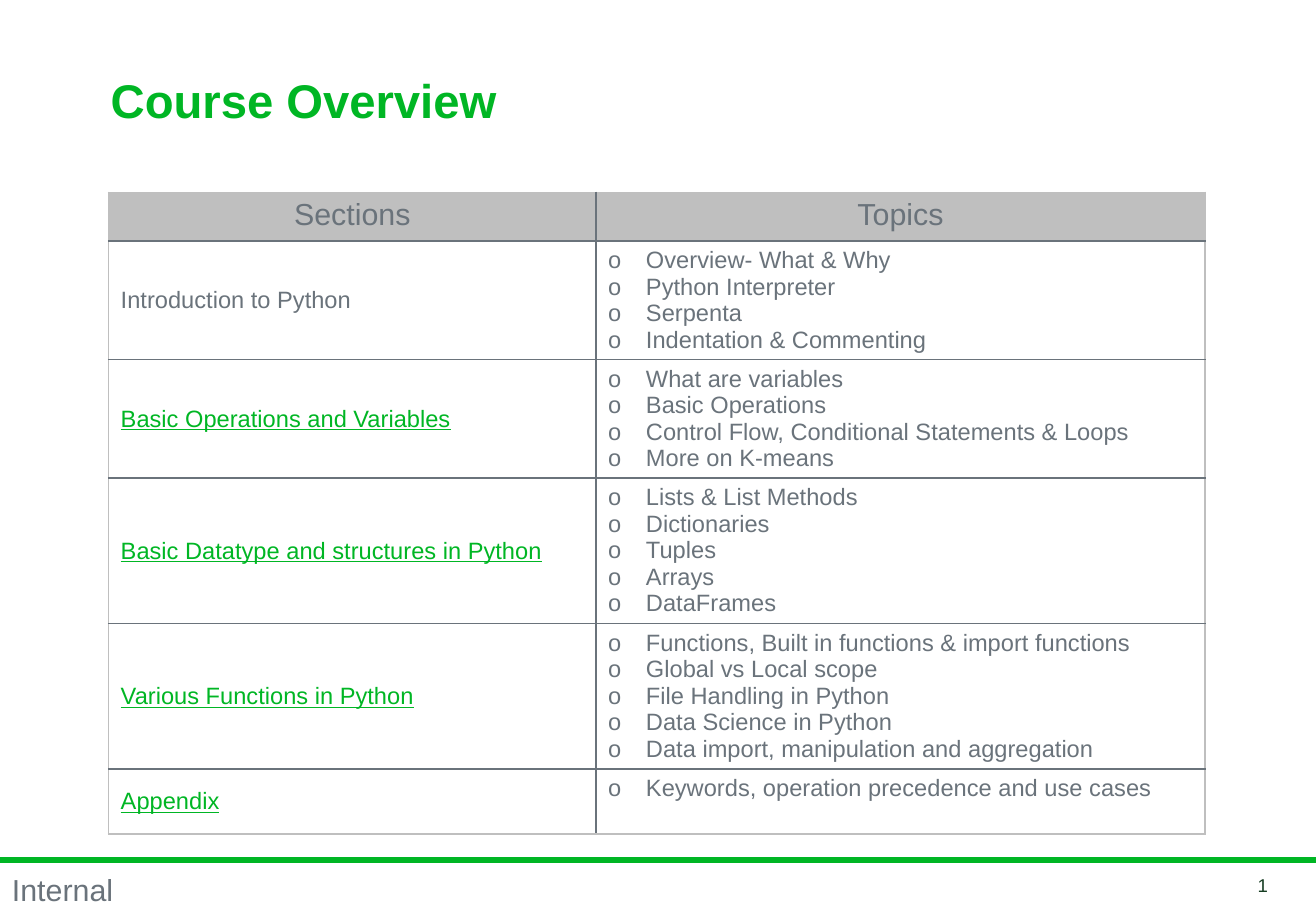
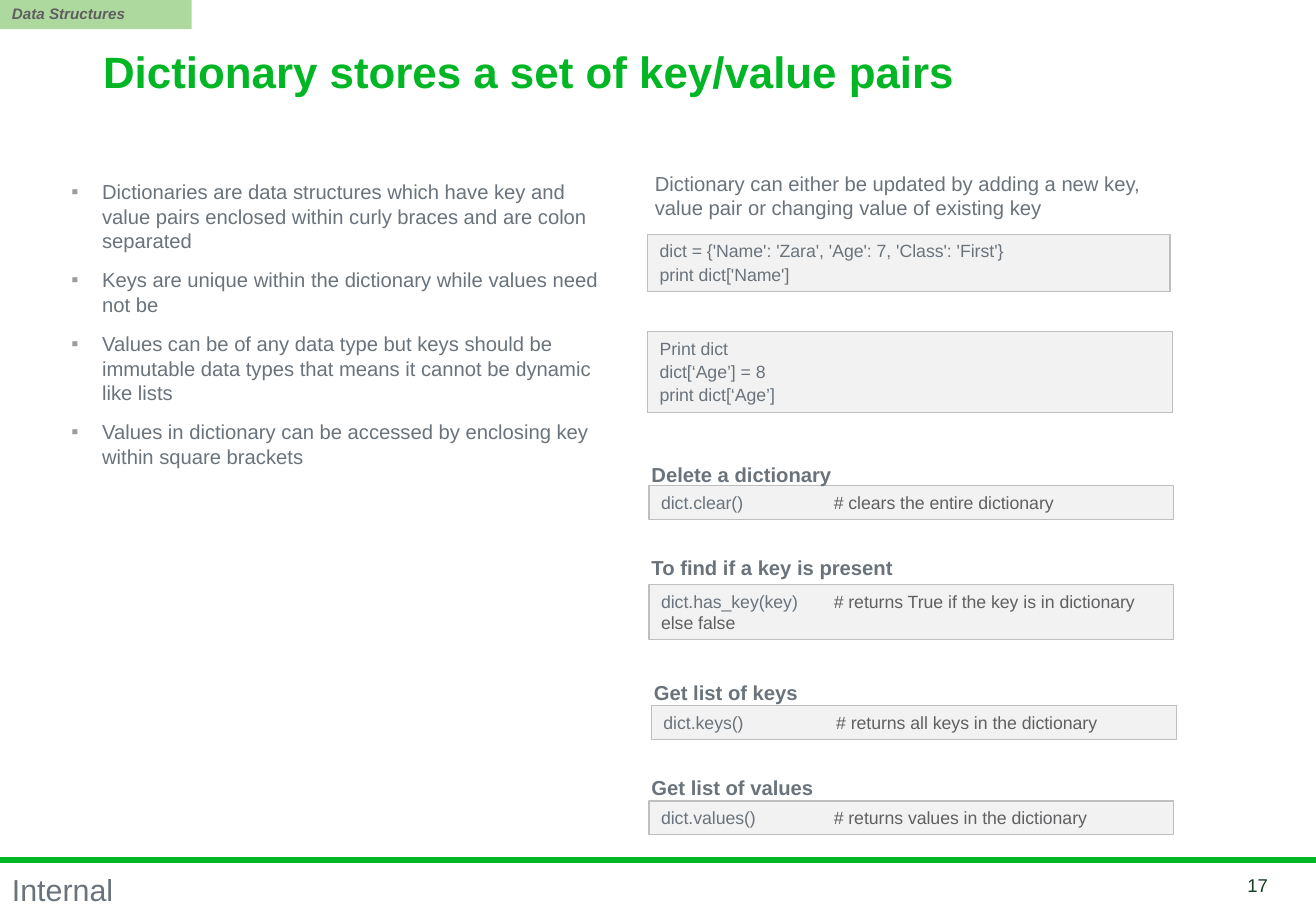
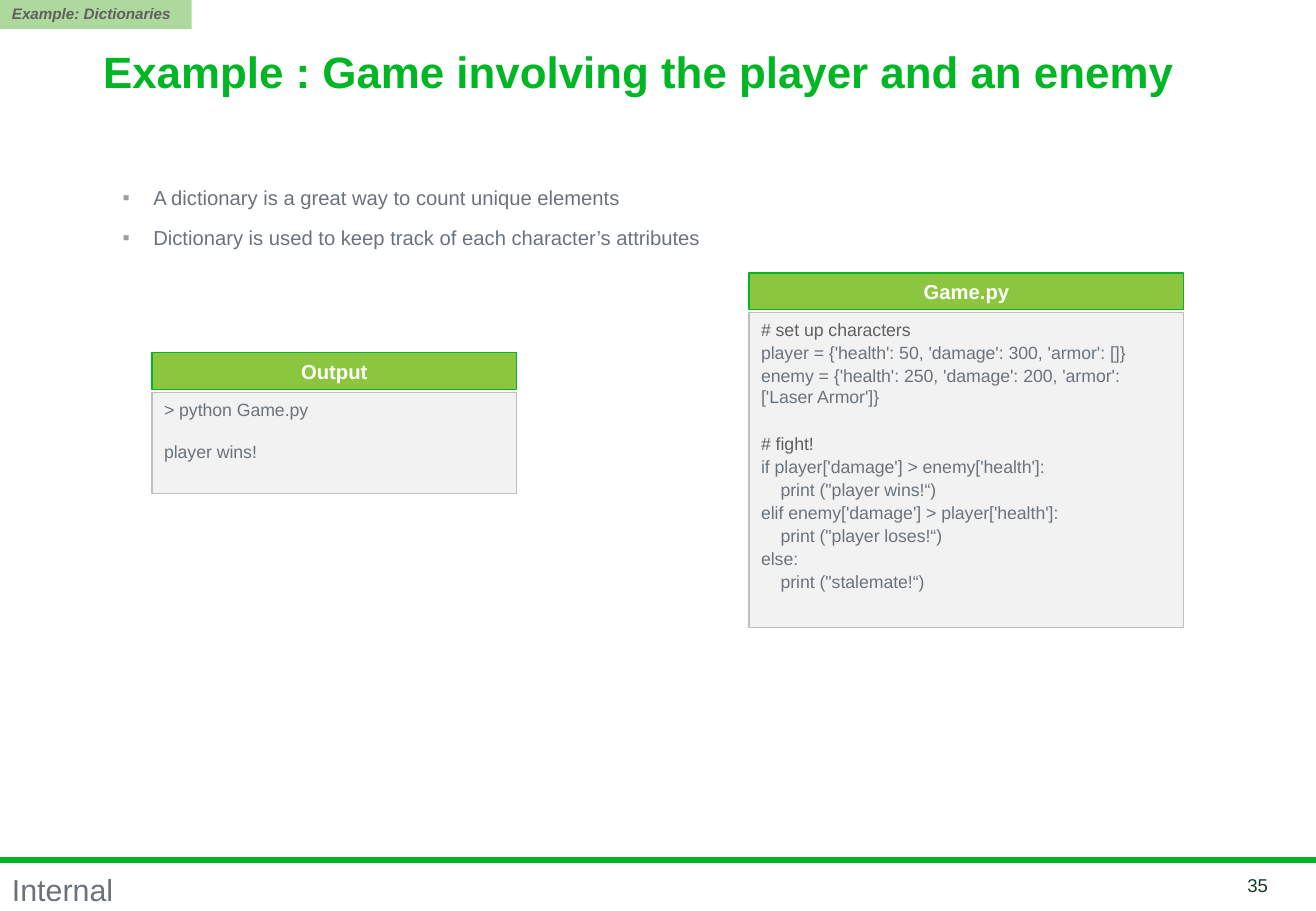
from dataclasses import dataclass
from typing import Optional, Sequence

from lxml import etree
from pptx import Presentation
from pptx.dml.color import RGBColor
from pptx.enum.shapes import MSO_CONNECTOR, MSO_SHAPE
from pptx.enum.text import MSO_ANCHOR, MSO_AUTO_SIZE, PP_ALIGN
from pptx.oxml.ns import qn
from pptx.util import Cm, Pt

LEFT, MID, RIGHT = PP_ALIGN.LEFT, PP_ALIGN.CENTER, PP_ALIGN.RIGHT
TOP, CENTER = MSO_ANCHOR.TOP, MSO_ANCHOR.MIDDLE
RECT, LINE = MSO_SHAPE.RECTANGLE, MSO_CONNECTOR.STRAIGHT
FIXED = MSO_AUTO_SIZE.NONE

# Shared look
FACE = "Arial"
GREEN, LIME, MINT = "00B624", "8CC63F", "AED99E"
GREY, NOTE, DARK = "6A737B", "606062", "163D22"
PALE, SILVER = "F2F2F2", "BFBFBF"
WIDE, HIGH = 27.51, 19.05
TAB = 3.61


@dataclass(frozen=True)
class Font:
    size: float
    color: str = GREY
    bold: bool = False
    ital: bool = False
    under: bool = False


@dataclass(frozen=True)
class Box:
    left: float
    top: float
    width: float
    height: float

    def cm(self) -> tuple[Cm, Cm, Cm, Cm]:
        return Cm(self.left), Cm(self.top), Cm(self.width), Cm(self.height)


@dataclass(frozen=True)
class Mark:
    char: str
    color: str
    indent: float


@dataclass(frozen=True)
class Line:
    text: str = ""
    note: str = ""
    gap: Optional[float] = None


@dataclass(frozen=True)
class Code:
    box: Box
    lines: Sequence[Line]
    head: str = ""
    rise: float = 0.66


@dataclass(frozen=True)
class Part:
    name: str
    topics: Sequence[str]
    link: bool = True


BODY, SMALL, CELL = Font(12), Font(10.5), Font(14)
HEAD, LABEL = Font(12, bold=True), Font(12, "FFFFFF", bold=True)
SQUARE, ROUND = Mark("▪", "9D9DA1", 0.64), Mark("o", GREY, 0.79)


def rgb(color: str) -> RGBColor:
    return RGBColor.from_string(color)


def add(parent, tag: str, **attrs: str):
    return etree.SubElement(parent, qn(tag), attrs)


# Text
def put(frame, lines: Sequence[Line], font: Font, gap: float = 0,
        align=LEFT, mark: Optional[Mark] = None, pitch: float = 1) -> None:
    for i, line in enumerate(lines):
        para = frame.paragraphs[0] if i == 0 else frame.add_paragraph()
        para.alignment = align
        para.line_spacing = pitch
        space = gap if line.gap is None else line.gap
        para.space_before = Pt(space if i else 0)
        parts = [p for p in ((line.text, font.color), (line.note, NOTE)) if p[0]]
        props = para._p.get_or_add_pPr()
        if mark:
            indent = Cm(mark.indent)
            props.set("marL", str(indent))
            props.set("indent", str(-indent))
            add(add(props, "a:buClr"), "a:srgbClr", val=mark.color)
            add(props, "a:buFont", typeface=FACE)
            add(props, "a:buChar", char=mark.char)
        if len(parts) > 1:
            add(add(props, "a:tabLst"), "a:tab", pos=str(Cm(TAB)), algn="l")
        face = para.font
        face.name, face.size = FACE, Pt(font.size)
        face.bold, face.italic, face.underline = font.bold, font.ital, font.under
        if len(parts) == 1:
            face.color.rgb = rgb(parts[0][1])
        for j, (words, color) in enumerate(parts):
            run = para.add_run()
            run.text = "\t" + words if j else words
            if len(parts) > 1:
                run.font.color.rgb = rgb(color)


def setup(frame, anchor=TOP, wrap: bool = True) -> None:
    frame.auto_size = FIXED
    frame.word_wrap = wrap
    frame.vertical_anchor = anchor


def label(slide, box: Box, text: str, font: Font, align=LEFT, anchor=TOP,
          wrap: bool = True, pitch: float = 1) -> None:
    frame = slide.shapes.add_textbox(*box.cm()).text_frame
    setup(frame, anchor, wrap)
    put(frame, [Line(text)], font, align=align, pitch=pitch)


def panel(slide, box: Box, lines: Sequence[Line], font: Font, fill: str,
          edge: Optional[str], gap: float = 0, align=LEFT) -> None:
    shape = slide.shapes.add_shape(RECT, *box.cm())
    shape.shadow.inherit = False
    shape.fill.solid()
    shape.fill.fore_color.rgb = rgb(fill)
    if edge:
        shape.line.color.rgb = rgb(edge)
        shape.line.width = Pt(0.75)
    else:
        shape.line.fill.background()
    setup(shape.text_frame)
    put(shape.text_frame, lines, font, gap, align)


def holder(shape, box: Box, anchor=TOP):
    shape.left, shape.top, shape.width, shape.height = box.cm()
    setup(shape.text_frame, anchor)
    return shape.text_frame


# Frame of every slide
def start(deck, layout: int, title: str, box: Box, size: float, page: int):
    slide = deck.slides.add_slide(deck.slide_layouts[layout])
    frame = holder(slide.shapes.title, box, CENTER)
    put(frame, [Line(title)], Font(size, GREEN, bold=True), pitch=0.85)
    rule = slide.shapes.add_connector(LINE, 0, Cm(17.98), Cm(WIDE), Cm(17.98))
    rule.line.color.rgb = rgb(GREEN)
    rule.line.width = Pt(3.5)
    add(rule._element.spPr, "a:effectLst")
    label(slide, Box(0, 18.14, 2.64, 0.99), "Internal", Font(18),
          wrap=False, pitch=0.95)
    label(slide, Box(24.68, 18.26, 2.08, 0.51), str(page), Font(11, DARK),
          align=RIGHT, anchor=CENTER)
    return slide


def topic(deck, tag: str, title: str, page: int, points: Sequence[str],
          box: Box):
    slide = start(deck, 1, title, Box(1.9, 0.84, 23.06, 1.47), 26, page)
    put(holder(slide.placeholders[1], box), [Line(p) for p in points],
        BODY, 9, mark=SQUARE)
    panel(slide, Box(0, -0.03, 4.01, 0.64), [Line(tag)],
          Font(9, "5F5F5F", bold=True, ital=True), MINT, None)
    return slide


# Course table
PARTS = [
    Part("Introduction to Python",
         ["Overview- What & Why", "Python Interpreter", "Serpenta",
          "Indentation & Commenting"], link=False),
    Part("Basic Operations and Variables",
         ["What are variables", "Basic Operations",
          "Control Flow, Conditional Statements & Loops", "More on K-means"]),
    Part("Basic Datatype and structures in Python",
         ["Lists & List Methods", "Dictionaries", "Tuples", "Arrays",
          "DataFrames"]),
    Part("Various Functions in Python",
         ["Functions, Built in functions & import functions",
          "Global vs Local scope", "File Handling in Python",
          "Data Science in Python",
          "Data import, manipulation and aggregation"]),
    Part("Appendix", ["Keywords, operation precedence and use cases"]),
]


def border(cell, outer: Sequence[bool]) -> None:
    props = cell._tc.get_or_add_tcPr()
    for i, (side, out) in enumerate(zip("LRTB", outer)):
        edge = add(props, f"a:ln{side}", w=str(Pt(1)))
        fill = add(edge, "a:solidFill")
        add(fill, "a:srgbClr", val=SILVER if out else GREY)
        props.insert(i, edge)


def overview(deck) -> None:
    slide = start(deck, 5, "Course Overview", Box(2.06, 1.05, 20.4, 2.24), 28, 1)
    tall = [1.02] + [max(1.36, 0.24 + 0.56 * len(p.topics)) for p in PARTS]
    box = Box(2.27, 4.02, 22.92, sum(tall))
    table = slide.shapes.add_table(len(tall), 2, *box.cm()).table
    table.first_row = table.horz_banding = False
    for col, width in zip(table.columns, (10.19, 12.73)):
        col.width = Cm(width)
    for row, height in zip(table.rows, tall):
        row.height = Cm(height)
    for c, name in enumerate(("Sections", "Topics")):
        put(table.cell(0, c).text_frame, [Line(name)], Font(18), align=MID)
    for r, part in enumerate(PARTS, 1):
        name = table.cell(r, 0)
        name.vertical_anchor = CENTER
        font = Font(14, GREEN, under=True) if part.link else CELL
        put(name.text_frame, [Line(part.name)], font)
        put(table.cell(r, 1).text_frame, [Line(t) for t in part.topics],
            CELL, mark=ROUND)
    for r in range(len(tall)):
        for c in range(2):
            cell = table.cell(r, c)
            if r == 0:
                cell.fill.solid()
                cell.fill.fore_color.rgb = rgb(SILVER)
            else:
                cell.fill.background()
            border(cell, (c == 0, c == 1, r == 0, r == len(PARTS)))


# Dictionary basics
POINTS = [
    "Dictionaries are data structures which have key and value pairs "
    "enclosed within curly braces and are colon separated",
    "Keys are unique within the dictionary while values need not be",
    "Values can be of any data type but keys should be immutable data types "
    "that means it cannot be dynamic like lists",
    "Values in dictionary can be accessed by enclosing key within square "
    "brackets",
]
CODES = [
    Code(Box(13.54, 4.9, 10.92, 1.19),
         [Line("dict = {'Name': 'Zara', 'Age': 7, 'Class': 'First'}"),
          Line("print dict['Name']")]),
    Code(Box(13.54, 6.93, 10.97, 1.7),
         [Line("Print dict"), Line("dict[‘Age’] = 8"),
          Line("print dict[‘Age’]")]),
    Code(Box(13.57, 10.16, 10.97, 0.71),
         [Line("dict.clear()", "# clears the entire dictionary")],
         "Delete a dictionary", 0.61),
    Code(Box(13.57, 12.23, 10.97, 1.14),
         [Line("dict.has_key(key)",
               "# returns True if the key is in dictionary else false")],
         "To find if a key is present", 0.74),
    Code(Box(13.62, 14.76, 10.97, 0.71),
         [Line("dict.keys()", "# returns all keys in the dictionary")],
         "Get list of keys"),
    Code(Box(13.57, 16.75, 10.97, 0.71),
         [Line("dict.values()", "# returns values in the dictionary")],
         "Get list of values"),
]


def basics(deck) -> None:
    slide = topic(deck, "Data Structures",
                  "Dictionary stores a set of key/value pairs", 17, POINTS,
                  Box(1.24, 3.63, 11.86, 9.7))
    label(slide, Box(13.44, 3.45, 11.63, 1.27),
          "Dictionary can either be updated by adding a new key, value pair "
          "or changing value of existing key", BODY)
    for code in CODES:
        box = code.box
        panel(slide, box, code.lines, SMALL, PALE, SILVER, 1.1)
        if code.head:
            label(slide, Box(box.left - 0.2, box.top - code.rise, 5.72, 0.76),
                  code.head, HEAD)


# Game example
GAME = [
    Line(note="# set up characters"),
    Line("player = {'health': 50, 'damage': 300, 'armor': []}"),
    Line("enemy = {'health': 250, 'damage': 200, 'armor': ['Laser Armor']}"),
    Line(note="# fight!", gap=14.8),
    Line("if player['damage'] > enemy['health']:"),
    Line("    print (\"player wins!“)"),
    Line("elif enemy['damage'] > player['health']:"),
    Line("    print (\"player loses!“)"),
    Line("else:"),
    Line("    print (\"stalemate!“)"),
]
SHOWS = [
    Code(Box(3.18, 8.21, 7.62, 2.11),
         [Line("> python Game.py"), Line("player wins!", gap=12.5)], "Output"),
    Code(Box(15.66, 6.54, 9.09, 6.58), GAME, "Game.py"),
]


def example(deck) -> None:
    slide = topic(deck, "Example: Dictionaries",
                  "Example : Game involving the player and an enemy", 35,
                  ["A dictionary is a great way to count unique elements",
                   "Dictionary is used to keep track of each character’s "
                   "attributes"], Box(2.31, 3.75, 22.86, 1.85))
    for show in SHOWS:
        box = show.box
        panel(slide, box, show.lines, SMALL, PALE, SILVER, 1.1)
        panel(slide, Box(box.left, box.top - 0.83, box.width, 0.76),
              [Line(show.head)], LABEL, LIME, GREEN, align=MID)


def main() -> None:
    deck = Presentation()
    deck.slide_width, deck.slide_height = Cm(WIDE), Cm(HIGH)
    overview(deck)
    basics(deck)
    example(deck)
    deck.save("out.pptx")


if __name__ == "__main__":
    main()
